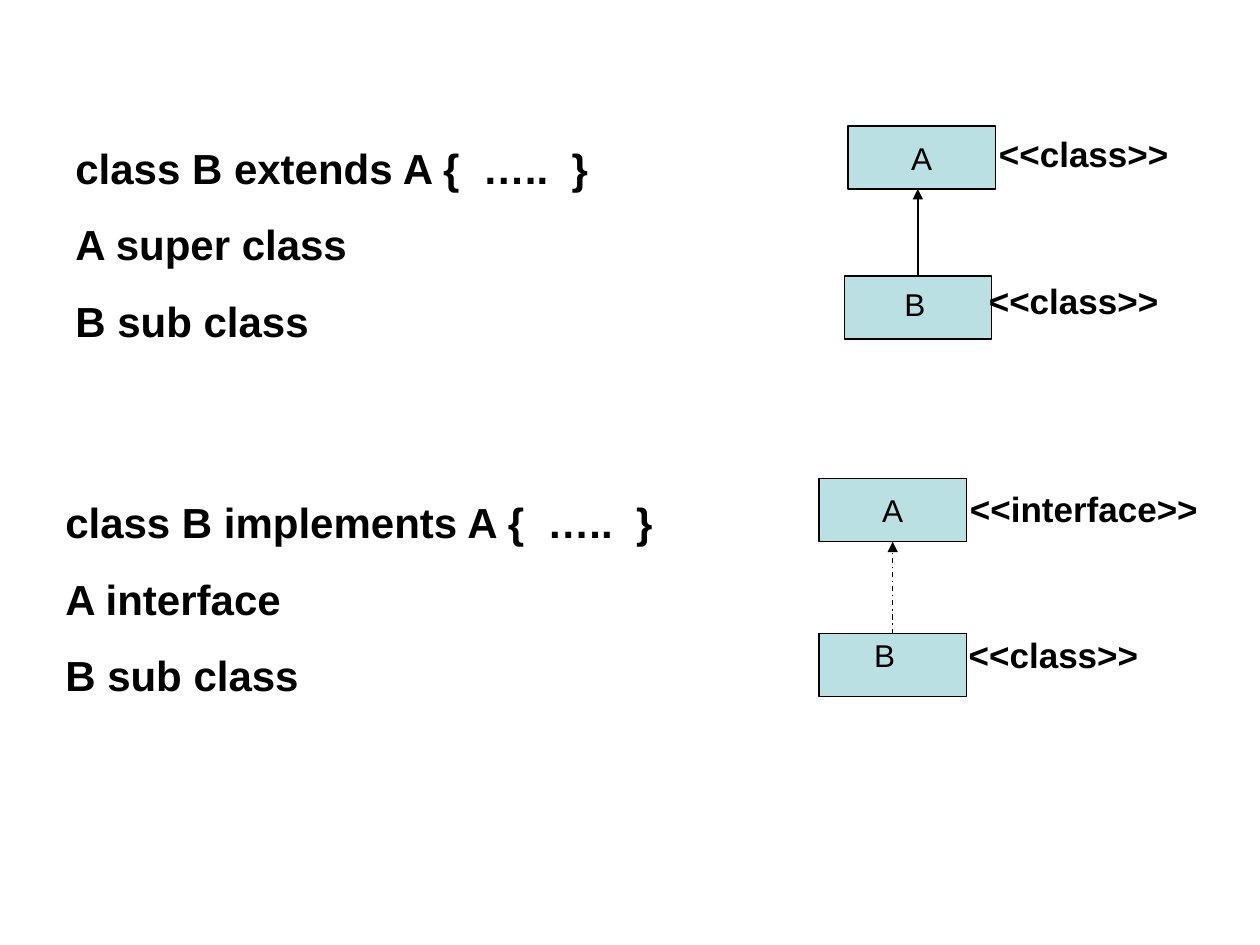
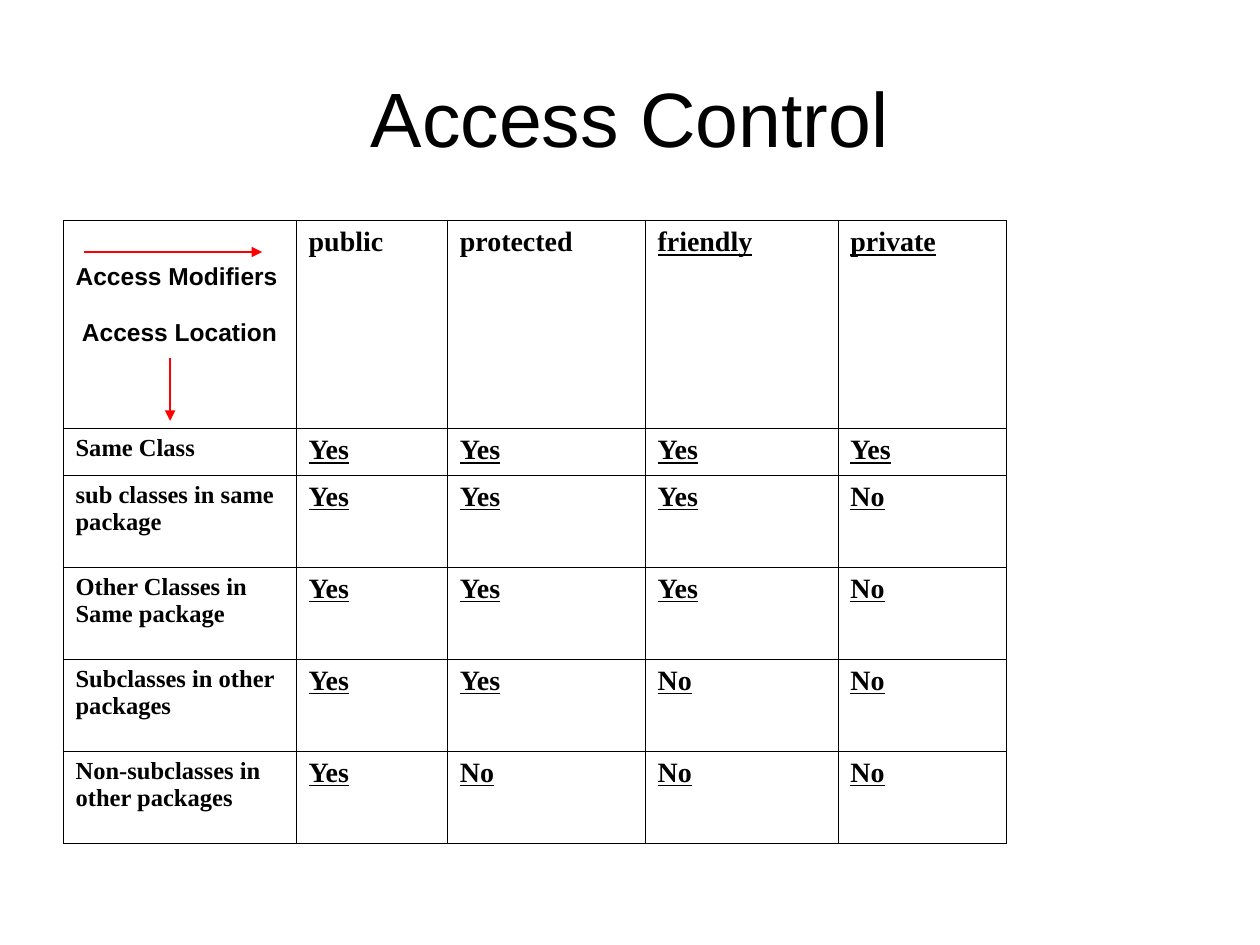
"""Build two slides on class relations and access control."""
from lxml import etree
from pptx import Presentation, util as u
from pptx.dml.color import RGBColor
from pptx.enum import dml, shapes, text
from pptx.oxml import ns

BLACK = RGBColor(0x00, 0x00, 0x00)
RED = RGBColor(0xFF, 0x00, 0x00)
PALE_TEAL = RGBColor(0xBB, 0xE0, 0xE3)
SANS, SERIF = "Arial", "Times New Roman"

deck = Presentation()
deck.slide_width, deck.slide_height = u.Inches(10), u.Inches(7.5)
GRID = deck.slide_width / 100


def write(frame, lines, size, font=SANS, bold=False, underline=False, gap=0, align=None):
    """Fill a text frame with one run per line."""
    for i, line in enumerate(lines):
        paragraph = frame.add_paragraph() if i else frame.paragraphs[0]
        paragraph.alignment = align
        paragraph.space_before = u.Pt(gap)
        run = paragraph.add_run()
        run.text = line
        run.font.name, run.font.size = font, u.Pt(size)
        run.font.bold, run.font.underline = bold, underline
        run.font.color.rgb = BLACK


def add_arrow(slide, start, end, color):
    """Draw a thin arrow between two grid points."""
    x1, y1, x2, y2 = (round(n * GRID) for n in (*start, *end))
    arrow = slide.shapes.add_connector(shapes.MSO_CONNECTOR.STRAIGHT, x1, y1, x2, y2)
    arrow.line.color.rgb = color
    arrow.line.width = u.Pt(0.75)
    etree.SubElement(arrow.line._get_or_add_ln(), ns.qn("a:tailEnd"), type="triangle")
    etree.SubElement(arrow._element.spPr, ns.qn("a:effectLst"))
    return arrow


BOX_WIDTH, BOX_HEIGHT = 11.7, 5
relations = [
    dict(parent=(67.3, 10), child=(67, 21.9), letter=(70.8, 22.1), dash=None,
         code=(5, 10.8), lines=["class B extends A {  …..  }", "A super class", "B sub class"],
         kinds=[("<<class>>", 78.3, 10), ("<<class>>", 77.5, 21.7)]),
    dict(parent=(65, 38), child=(65, 50.3), letter=(68.4, 50), dash=dml.MSO_LINE.DASH_DOT,
         code=(4.2, 38.9), lines=["class B implements A {  …..  }", "A interface", "B sub class"],
         kinds=[("<<interface>>", 76, 38.2), ("<<class>>", 75.9, 49.8)]),
]

inheritance = deck.slides.add_slide(deck.slide_layouts[6])
for relation in relations:
    boxes = []
    for corner in (relation["parent"], relation["child"]):
        left, top, width, height = (round(n * GRID) for n in (*corner, BOX_WIDTH, BOX_HEIGHT))
        box = inheritance.shapes.add_shape(shapes.MSO_SHAPE.RECTANGLE, left, top, width, height)
        box.shadow.inherit = False
        box.fill.solid()
        box.fill.fore_color.rgb = PALE_TEAL
        box.line.color.rgb = BLACK
        box.line.width = u.Pt(0.75)
        boxes.append(box)
    parent, child = boxes
    parent.text_frame.word_wrap = False
    parent.text_frame.vertical_anchor = text.MSO_ANCHOR.MIDDLE
    write(parent.text_frame, ["A"], 18, align=text.PP_ALIGN.CENTER)

    middle = relation["child"][0] + BOX_WIDTH / 2
    arrow = add_arrow(inheritance, (middle, relation["child"][1]),
                      (middle, relation["parent"][1] + BOX_HEIGHT), BLACK)
    arrow.begin_connect(child, 0)
    if parent.left == child.left:
        arrow.end_connect(parent, 2)
    if relation["dash"]:
        arrow.line.dash_style = relation["dash"]

    captions = [(["B"], *relation["letter"], 3.6, 4, 18, False, 0),
                (relation["lines"], *relation["code"], 58.3, 17.2, 24, True, 15)]
    captions += [([kind], x, y, 21.7, 4.4, 20, True, 12.5) for kind, x, y in relation["kinds"]]
    for lines, x, y, w, h, size, bold, gap in captions:
        caption = inheritance.shapes.add_textbox(*(round(n * GRID) for n in (x, y, w, h)))
        caption.text_frame.word_wrap = bold
        caption.text_frame.auto_size = text.MSO_AUTO_SIZE.SHAPE_TO_FIT_TEXT
        write(caption.text_frame, lines, size, bold=bold, gap=gap)

access = deck.slides.add_slide(deck.slide_layouts[5])
heading = access.shapes.title
heading.left, heading.top, heading.width, heading.height = (
    round(n * GRID) for n in (5, 3, 90, 12.5))
heading.text_frame.vertical_anchor = text.MSO_ANCHOR.MIDDLE
write(heading.text_frame, ["Access Control"], 44, align=text.PP_ALIGN.CENTER)

COLUMNS = [18.5, 12, 15.7, 15.3, 13.4]
ROWS = [16.5, 3.7] + [7.3] * 4
modifiers = ["public", "protected", "friendly", "private"]
locations = [
    (["Same Class"], 4),
    (["sub classes in same package"], 3),
    (["Other Classes in", "Same package"], 3),
    (["Subclasses in other packages"], 2),
    (["Non-subclasses in other packages"], 1),
]
rights = access.shapes.add_table(
    len(ROWS), len(COLUMNS),
    *(round(n * GRID) for n in (5, 17.5, sum(COLUMNS), sum(ROWS)))).table
rights.first_row = rights.horz_banding = False
for column, width in zip(rights.columns, COLUMNS):
    column.width = round(width * GRID)
for row, height in zip(rights.rows, ROWS):
    row.height = round(height * GRID)

for cell in rights.iter_cells():
    properties = cell._tc.get_or_add_tcPr()
    for side in ("lnL", "lnR", "lnT", "lnB"):
        border = etree.SubElement(properties, ns.qn(f"a:{side}"), w=str(u.Pt(0.45)))
        fill = etree.SubElement(border, ns.qn("a:solidFill"))
        etree.SubElement(fill, ns.qn("a:srgbClr"), val=str(BLACK))
    cell.fill.background()

corner = rights.cell(0, 0)
corner.margin_top = round(3.4 * GRID)
write(corner.text_frame, ["Access Modifiers", "Access Location"], 14, bold=True)
location_label = corner.text_frame.paragraphs[1]
location_label.space_before = u.Pt(16)
location_label._p.get_or_add_pPr().set("marL", str(round(0.5 * GRID)))

for c, modifier in enumerate(modifiers, 1):
    write(rights.cell(0, c).text_frame, [modifier], 16, SERIF, True, underline=c > 2)
for r, (location, allowed) in enumerate(locations, 1):
    write(rights.cell(r, 0).text_frame, location, 14, SERIF, True)
    for c in range(1, len(COLUMNS)):
        answer = "Yes" if c <= allowed else "No"
        write(rights.cell(r, c).text_frame, [answer], 16, SERIF, True, underline=True)

add_arrow(access, (6.7, 20), (20.8, 20), RED)
add_arrow(access, (13.5, 28.4), (13.5, 33.4), RED)

deck.save("out.pptx")
